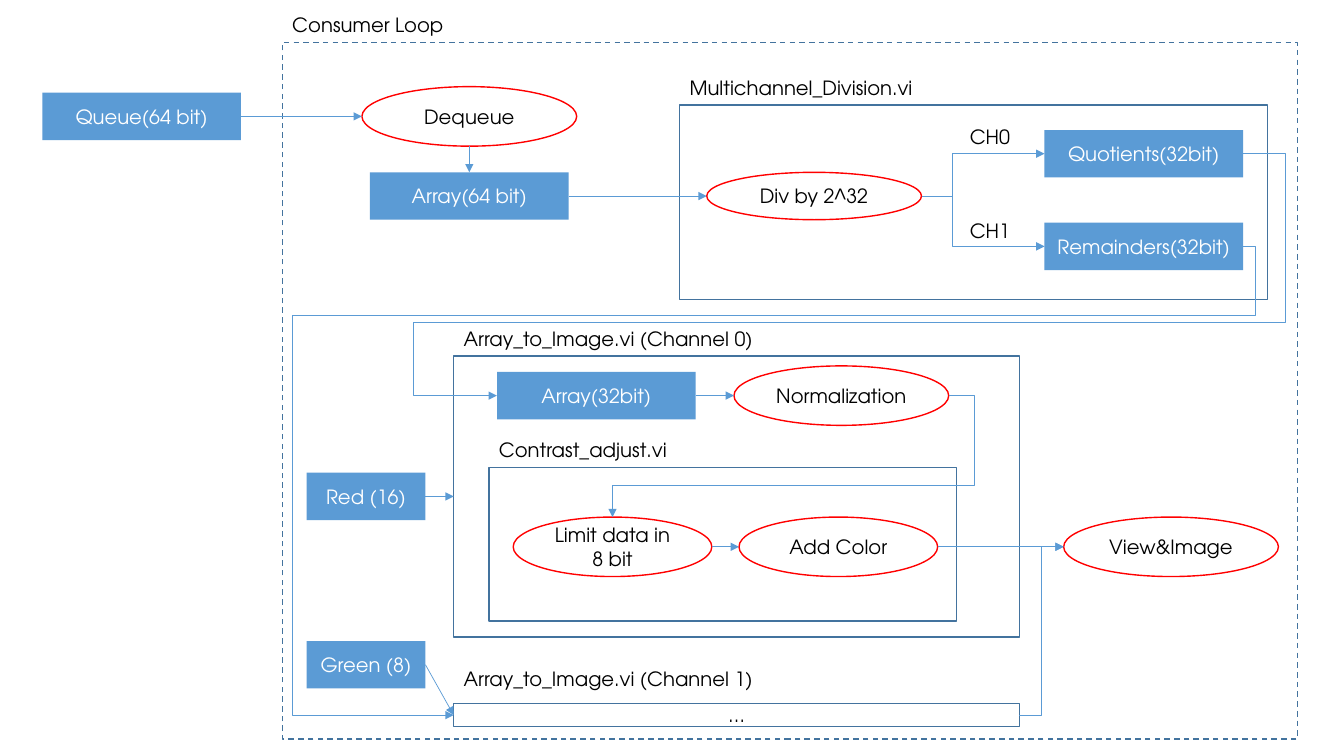
from lxml import etree
from pptx import Presentation
from pptx.dml.color import RGBColor
from pptx.enum.dml import MSO_LINE
from pptx.enum.shapes import MSO_CONNECTOR, MSO_SHAPE
from pptx.enum.text import MSO_ANCHOR, PP_ALIGN
from pptx.oxml.ns import qn
from pptx.util import Inches, Pt

RECT, OVAL = MSO_SHAPE.RECTANGLE, MSO_SHAPE.OVAL
STRAIGHT, ELBOW = MSO_CONNECTOR.STRAIGHT, MSO_CONNECTOR.ELBOW
MIDDLE, TOP_TEXT = MSO_ANCHOR.MIDDLE, MSO_ANCHOR.TOP
CENTER, LEFT_TEXT = PP_ALIGN.CENTER, PP_ALIGN.LEFT
DASH = MSO_LINE.DASH
TOP, LEFT, BOTTOM, RIGHT = range(4)
FONT = "TeX Gyre Adventor"
BLUE, NAVY, RED = "5B9BD5", "43739E", "FF0000"
BLACK, WHITE = "000000", "FFFFFF"
BOX_W, BOX_H = 1.97, 0.47
OVAL_W, OVAL_H = 2.13, 0.59
LABEL_H = 0.34


def color(code):
    return RGBColor.from_string(code)


def write(shape, text, ink, align, anchor):
    frame = shape.text_frame
    frame.text = text
    frame.word_wrap = True
    frame.vertical_anchor = anchor
    para = frame.paragraphs[0]
    para.alignment = align
    font = para.runs[0].font
    font.name = FONT
    font.size = Pt(14)
    font.color.rgb = color(ink)


def draw(slide, kind, x, y, w, h, fill=None, line=None):
    shape = slide.shapes.add_shape(kind, Inches(x), Inches(y), Inches(w), Inches(h))
    shape.shadow.inherit = False
    if fill:
        shape.fill.solid()
        shape.fill.fore_color.rgb = color(fill)
    else:
        shape.fill.background()
    if line:
        shape.line.color.rgb = color(line)
        shape.line.width = Pt(1)
    else:
        shape.line.fill.background()
    return shape


def data(slide, text, x, y, w=BOX_W):
    shape = draw(slide, RECT, x, y, w, BOX_H, fill=BLUE)
    write(shape, text, WHITE, CENTER, MIDDLE)
    return shape


def step(slide, text, x, y, w=OVAL_W, h=OVAL_H):
    shape = draw(slide, OVAL, x, y, w, h, line=RED)
    write(shape, text, BLACK, CENTER, MIDDLE)
    return shape


def label(slide, text, x, y, w):
    box = slide.shapes.add_textbox(Inches(x), Inches(y), Inches(w), Inches(LABEL_H))
    write(box, text, BLACK, LEFT_TEXT, TOP_TEXT)


def group(slide, title, x, y, w, h, wide):
    label(slide, title, x, y - LABEL_H, wide)
    return draw(slide, RECT, x, y, w, h, line=NAVY)


def site(shape, side):
    return side * 2 if shape.auto_shape_type == OVAL else side


def link(slide, start, out, end, into, bends=()):
    kind = ELBOW if bends else STRAIGHT
    arrow = slide.shapes.add_connector(kind, 0, 0, 0, 0)
    arrow.begin_connect(start, out)
    arrow.end_connect(end, into)
    arrow.line.color.rgb = color(BLUE)
    arrow.line.width = Pt(0.5)
    node = arrow._element
    for tag, shape, side in (("a:stCxn", start, out), ("a:endCxn", end, into)):
        next(node.iter(qn(tag))).set("idx", str(site(shape, side)))
    if bends:
        geom = next(node.iter(qn("a:prstGeom")))
        geom.set("prst", f"bentConnector{len(bends) + 2}")
        guides = geom.find(qn("a:avLst"))
        for num, bend in enumerate(bends, 1):
            value = f"val {round(bend * 100000)}"
            etree.SubElement(guides, qn("a:gd"), name=f"adj{num}", fmla=value)
    stroke = next(node.iter(qn("a:ln")))
    etree.SubElement(stroke, qn("a:tailEnd"), type="triangle")
    etree.SubElement(node.spPr, qn("a:effectLst"))


def main():
    deck = Presentation()
    deck.slide_width, deck.slide_height = Inches(13.33), Inches(7.5)
    slide = deck.slides.add_slide(deck.slide_layouts[6])

    loop = group(slide, "Consumer Loop", 2.8, 0.42, 10.07, 6.91, 2.72)
    loop.line.dash_style = DASH
    group(slide, "Multichannel_Division.vi", 6.74, 1.04, 5.83, 1.93, 2.52)
    image = group(slide, "Array_to_Image.vi (Channel 0)", 4.5, 3.53, 5.61, 2.79, 4.24)
    group(slide, "Contrast_adjust.vi", 4.85, 4.64, 4.64, 1.52, 2)
    label(slide, "Array_to_Image.vi (Channel 1)", 4.5, 6.57, 3.32)
    label(slide, "CH0", 9.52, 1.19, 0.7)
    label(slide, "CH1", 9.52, 2.12, 0.7)

    queue = data(slide, "Queue(64 bit)", 0.42, 0.92)
    wide = data(slide, "Array(64 bit)", 3.67, 1.71)
    high = data(slide, "Quotients(32bit)", 10.36, 1.29)
    low = data(slide, "Remainders(32bit)", 10.36, 2.21)
    half = data(slide, "Array(32bit)", 4.93, 3.69)
    red = data(slide, "Red (16)", 3.04, 4.69, 1.18)
    green = data(slide, "Green (8)", 3.04, 6.36, 1.18)

    fetch = step(slide, "Dequeue", 3.59, 0.86)
    split = step(slide, "Div by 2^32", 7.01, 1.71, h=BOX_H)
    norm = step(slide, "Normalization", 7.28, 3.63)
    limit = step(slide, "Limit data in 8 bit", 5.09, 5.13, w=BOX_W)
    tint = step(slide, "Add Color", 7.33, 5.13, w=BOX_W)
    show = step(slide, "View&Image", 10.55, 5.13)
    other = draw(slide, RECT, 4.5, 6.98, 5.61, 0.23, line=NAVY)
    write(other, "…", BLACK, CENTER, MIDDLE)

    link(slide, fetch, BOTTOM, wide, TOP)
    for start, end in (
        (queue, fetch), (wide, split), (half, norm), (limit, tint),
        (tint, show), (red, image), (green, other),
    ):
        link(slide, start, RIGHT, end, LEFT)
    for end in (high, low):
        link(slide, split, RIGHT, end, LEFT, [0.25])
    link(slide, norm, RIGHT, limit, TOP, [-0.075, 0.736])
    link(slide, high, RIGHT, half, LEFT, [-0.057, 0.697, 1.112])
    link(slide, low, RIGHT, other, LEFT, [-0.015, 0.146, 1.204])
    link(slide, other, RIGHT, show, LEFT, [0.5])

    deck.save("out.pptx")


if __name__ == "__main__":
    main()
